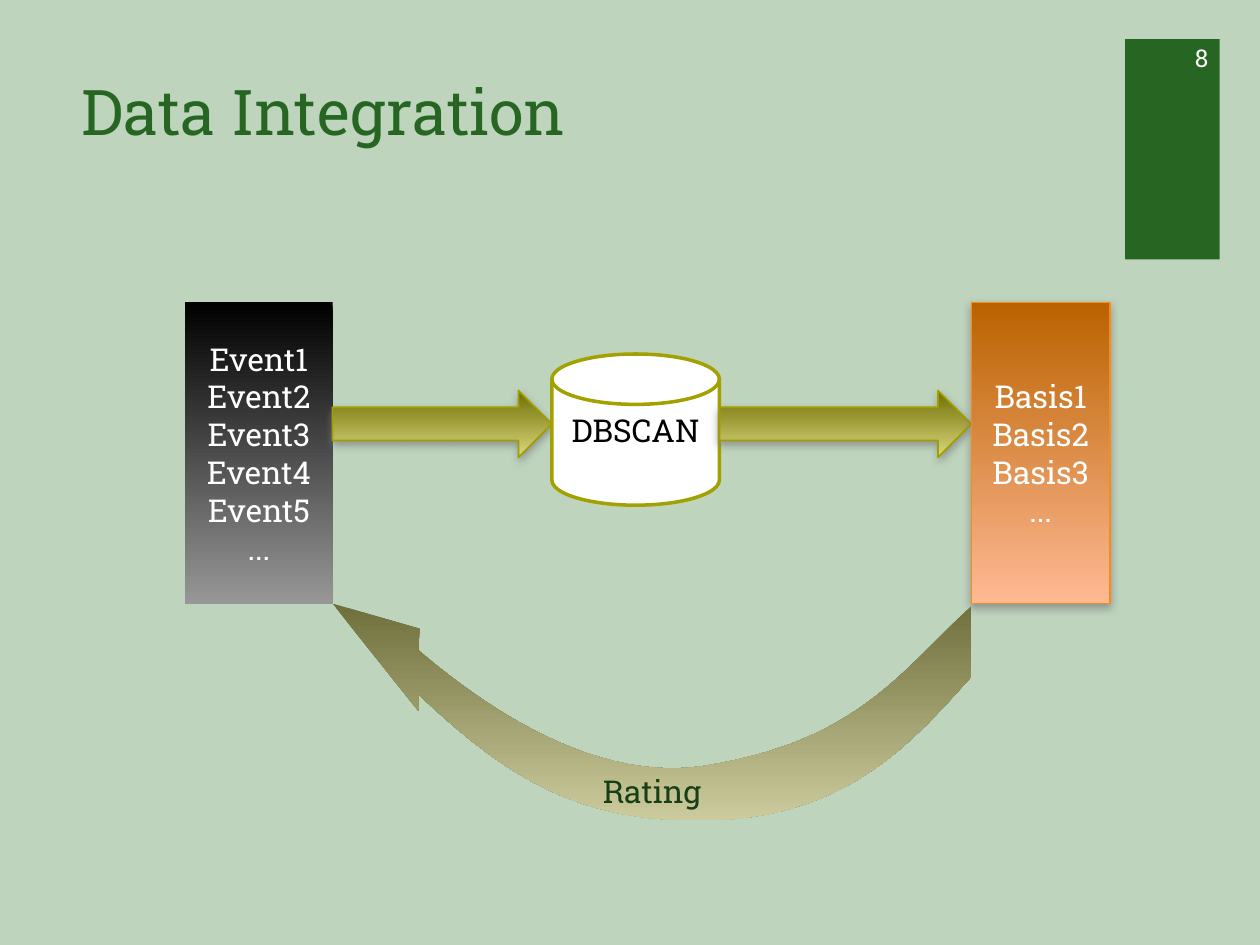
from pptx import Presentation
from pptx.dml.color import RGBColor
from pptx.enum.shapes import MSO_SHAPE as Kind
from pptx.enum.text import MSO_ANCHOR as Anchor, PP_ALIGN as Align
from pptx.oxml import parse_xml
from pptx.oxml.ns import nsdecls
from pptx.util import Inches, Pt

FONT = "Roboto Slab"
GREEN, WHITE, OLIVE = "276622", "FFFFFF", "A09E00"
LIME = ("6E6D00", "DBD980")
COLS = 100
SHADE = (
    f'<a:outerShdw {nsdecls("a")} blurRad="63500" dist="25400" dir="5400000" rotWithShape="0">'
    '<a:srgbClr val="808080"><a:alpha val="75000"/></a:srgbClr></a:outerShdw>'
)


def tint(code):
    """Turn a hex string into a colour."""
    return RGBColor.from_string(code)


def curve(a, b, c, d, steps=24):
    """List the points of a cubic curve after its start."""
    points = []
    for n in range(1, steps + 1):
        t = n / steps
        s = 1 - t
        parts = (s ** 3, 3 * s * s * t, 3 * s * t * t, t ** 3)
        points.append(tuple(sum(w * p[i] for w, p in zip(parts, (a, b, c, d))) for i in (0, 1)))
    return points


class Board:
    """Hold the style and the current slide, on a grid of 100 by 75."""

    def __init__(self, deck, back):
        self.slide = deck.slides.add_slide(deck.slide_layouts[6])
        self.shapes = self.slide.shapes
        self.cell = deck.slide_width / COLS
        fill = self.slide.background.fill
        fill.solid()
        fill.fore_color.rgb = tint(back)

    def grid(self, *vals):
        return [round(v * self.cell) for v in vals]

    def paint(self, shape, fill, line=None, width=1, shade=False):
        shape.shadow.inherit = False
        if isinstance(fill, tuple):
            shape.fill.gradient()
            shape.fill.gradient_angle = 270
            for stop, code in zip(shape.fill.gradient_stops, fill):
                stop.color.rgb = tint(code)
        else:
            shape.fill.solid()
            shape.fill.fore_color.rgb = tint(fill)
        if line:
            shape.line.color.rgb = tint(line)
            shape.line.width = Pt(width)
        else:
            shape.line.fill.background()
        if shade:
            shape._element.spPr.find("{*}effectLst").append(parse_xml(SHADE))
        return shape

    def letter(self, shape, text, color=WHITE, size=18, align=Align.CENTER, anchor=Anchor.MIDDLE):
        frame = shape.text_frame
        frame.word_wrap = True
        frame.vertical_anchor = anchor
        frame.text = text
        for para in frame.paragraphs:
            para.alignment = align
            for run in para.runs:
                run.font.name = FONT
                run.font.size = Pt(size)
                run.font.color.rgb = tint(color)
        return frame

    def block(self, kind, at, fill, **look):
        return self.paint(self.shapes.add_shape(kind, *self.grid(*at)), fill, **look)

    def label(self, at, text, **look):
        return self.letter(self.shapes.add_textbox(*self.grid(*at)), text, **look)

    def arrow(self, left, right):
        at = (left, 31, right - left, 5.3)
        return self.block(Kind.RIGHT_ARROW, at, LIME, line=OLIVE, shade=True)

    def outline(self, points, fill):
        start, *rest = [self.grid(*p) for p in points]
        pen = self.shapes.build_freeform(*start)
        pen.add_line_segments(rest, close=True)
        return self.paint(pen.convert_to_shape(), fill)


def main():
    """Build the slide."""
    deck = Presentation()
    deck.slide_width, deck.slide_height = Inches(10), Inches(7.5)
    board = Board(deck, "BED4BD")

    board.block(Kind.RECTANGLE, (89.3, 3.1, 7.5, 17.5), GREEN)
    board.label((5.5, 5.3, 82.6, 12.2), "Data Integration", color=GREEN, size=36,
                align=Align.LEFT, anchor=Anchor.TOP)
    board.label((90.8, 2.6, 6.1, 4), "8", size=14, align=Align.RIGHT)

    events = board.block(Kind.RECTANGLE, (14.7, 24, 11.7, 23.9), ("000000", "979797"))
    board.letter(events, "\n".join([f"Event{n}" for n in range(1, 6)] + ["..."]))
    board.arrow(26.4, 43.8)
    store = board.block(Kind.FLOWCHART_MAGNETIC_DISK, (43.8, 28.1, 13.3, 12), WHITE,
                        line="A3A101", width=2)
    board.letter(store, "DBSCAN", color="000000", anchor=Anchor.TOP)
    board.arrow(57.1, 77.1)
    bases = board.block(Kind.RECTANGLE, (77.1, 24, 11, 23.9), ("BA6200", "FFB993"),
                        line="F78D18", shade=True)
    board.letter(bases, "\n".join([f"Basis{n}" for n in range(1, 4)] + ["..."]))

    tip, barb, neck = (26.4, 47.9), (33.3, 49.9), (33.2, 51.6)
    inner, top, low = (55.8, 60.8), (77.1, 48.1), (77.1, 53.7)
    outer, heel = (55.3, 65.1), (33.2, 55.1)
    swoop = [
        tip, barb, neck,
        *curve(neck, (37.2, 55), (46.4, 62.2), inner),
        *curve(inner, (68, 58.9), (71.5, 53.3), top),
        low,
        *curve(low, (72.8, 58.4), (67.3, 65.3), outer),
        *curve(outer, (45.1, 65.2), (39.4, 60.9), heel),
        (33.2, 56.4),
    ]
    rating = board.outline(swoop, ("6F6F3C", "CBCB9D"))
    frame = board.letter(rating, "Rating", color="173E14", anchor=Anchor.BOTTOM)
    frame.margin_bottom = Inches(0.08)

    deck.save("out.pptx")


if __name__ == "__main__":
    main()
